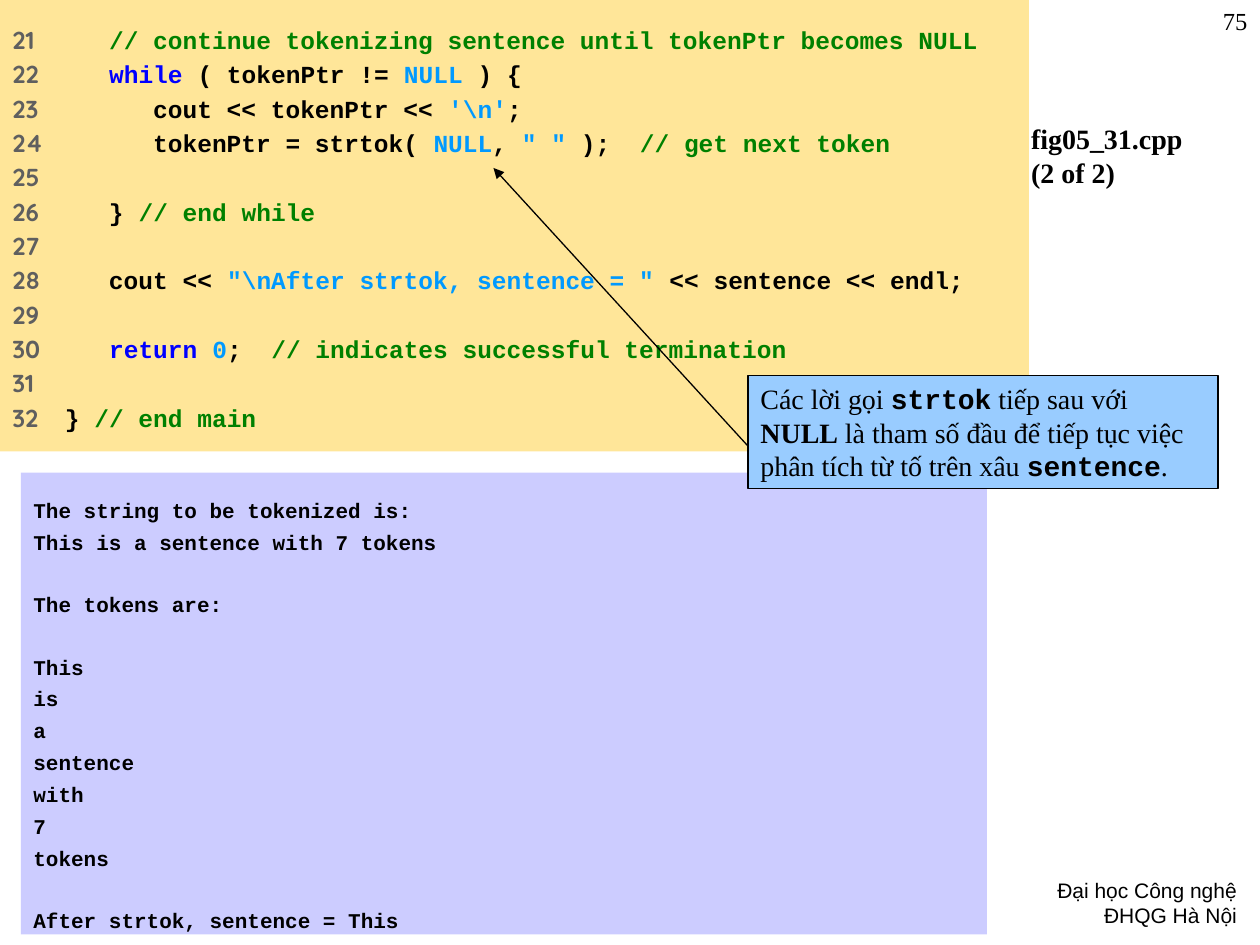
import pptx
import pptx.util
import pptx.dml.color
import pptx.enum.shapes
import pptx.enum.text
import pptx.oxml
import pptx.oxml.ns
from dataclasses import dataclass

# Content: code lines are (number, indent in characters, coloured spans)
CODE = [
    (21, 3, [("comment", "// continue tokenizing sentence until tokenPtr becomes NULL")]),
    (22, 3, [("keyword", "while"), ("plain", " ( tokenPtr != "), ("literal", "NULL"),
             ("plain", " ) {")]),
    (23, 6, [("plain", "cout << tokenPtr << "), ("literal", r"'\n'"), ("plain", ";")]),
    (24, 6, [("plain", "tokenPtr = strtok( "), ("literal", "NULL"), ("plain", ", "),
             ("literal", '" "'), ("plain", " );  "), ("comment", "// get next token")]),
    (25, 0, []),
    (26, 3, [("plain", "} "), ("comment", "// end while")]),
    (27, 0, []),
    (28, 3, [("plain", "cout << "), ("literal", r'"\nAfter strtok, sentence = "'),
             ("plain", " << sentence << endl;")]),
    (29, 0, []),
    (30, 3, [("keyword", "return "), ("literal", "0"), ("plain", ";  "),
             ("comment", "// indicates successful termination")]),
    (31, 0, []),
    (32, 0, [("plain", "} "), ("comment", "// end main")]),
]
OUTPUT_BLOCKS = [
    ["The string to be tokenized is:", "This is a sentence with 7 tokens"],
    ["The tokens are:"],
    ["This", "is", "a", "sentence", "with", "7", "tokens"],
    ["After strtok, sentence = This"],
]
CALLOUT = [
    ("body", "Các lời gọi "), ("mono", "strtok"), ("body", " tiếp sau với "),
    ("strong", "NULL"), ("body", " là tham số đầu để tiếp tục việc phân tích từ tố trên xâu "),
    ("mono", "sentence"), ("body", "."),
]
TITLE = "fig05_31.cpp\n(2 of 2)"
FOOTER = "Đại học Công nghệ\nĐHQG Hà Nội"
PAGE_NUMBER = "75"


@dataclass(frozen=True)
class Theme:
    code_fill: str = "FFE699"
    output_fill: str = "CCCCFF"
    callout_fill: str = "99CCFF"
    ink: str = "000000"
    number: str = "5F5F5F"
    comment: str = "008000"
    keyword: str = "0000FF"
    literal: str = "0099FF"
    serif: str = "Times New Roman"
    mono: str = "Courier New"
    sans: str = "Arial"
    digits: str = "Quicksand"
    small: float = 12
    medium: float = 14
    large: float = 16
    hairline: float = 0.75
    code_gap: float = 2.8
    output_gap: float = 3.8
    output_block_gap: float = 21.2


THEME = Theme()


def style(name, size, bold=False, color=THEME.ink):
    return {"name": name, "size": pptx.util.Pt(size), "bold": bold, "color": color}


STYLES = {
    "title": style(THEME.serif, THEME.large, True),
    "page": style(THEME.serif, THEME.medium),
    "footer": style(THEME.sans, THEME.small),
    "output": style(THEME.mono, THEME.small, True),
    "number": style(THEME.digits, THEME.medium, True, THEME.number),
    "plain": style(THEME.mono, THEME.medium, True),
    "comment": style(THEME.mono, THEME.medium, True, THEME.comment),
    "keyword": style(THEME.mono, THEME.medium, True, THEME.keyword),
    "literal": style(THEME.mono, THEME.medium, True, THEME.literal),
    "body": style(THEME.serif, THEME.large),
    "strong": style(THEME.serif, THEME.large, True),
    "mono": style(THEME.mono, THEME.large, True),
}

# Grid of 120 columns and 90 rows; boxes are (column, row, columns, rows)
COLUMNS, ROWS = 120, 90
WIDTH, HEIGHT = pptx.util.Inches(10), pptx.util.Inches(7.5)
PLACES = {
    "title": (97, 11, 23, 63),
    "page": (114, 0, 6, 6),
    "footer": (93, 83, 26, 6),
    "output": (2, 45, 92, 44),
    "code": (0, 0, 98, 43),
    "callout": (71.25, 35.75, 44.75, 10.8),
}
ARROW = (71.25, 42.5, 47, 16)
CODE_TAB = 5  # columns from the line number to the code
LEFT, RIGHT = pptx.enum.text.PP_ALIGN.LEFT, pptx.enum.text.PP_ALIGN.RIGHT


def to_emu(cells):
    """Turn alternating column and row counts into lengths."""
    return [int(cell * (HEIGHT / ROWS if index % 2 else WIDTH / COLUMNS))
            for index, cell in enumerate(cells)]


def rgb(value):
    return pptx.dml.color.RGBColor.from_string(value)


def write(box, paragraphs, align=LEFT, inset=0.05):
    """Fill a box with paragraphs, each given as (space before, spans)."""
    frame = box.text_frame
    settings = {
        "word_wrap": True, "auto_size": pptx.enum.text.MSO_AUTO_SIZE.NONE,
        "vertical_anchor": pptx.enum.text.MSO_ANCHOR.TOP,
        "margin_left": pptx.util.Inches(0.1), "margin_right": pptx.util.Inches(0.1),
        "margin_top": pptx.util.Inches(inset), "margin_bottom": pptx.util.Inches(inset),
    }
    for key, value in settings.items():
        setattr(frame, key, value)
    for index, (gap, spans) in enumerate(paragraphs):
        para = frame.add_paragraph() if index else frame.paragraphs[0]
        para.alignment = align
        para.space_before = pptx.util.Pt(gap if index else 0)
        for kind, text in spans:
            for part, line in enumerate(text.split("\n")):
                if part:
                    para.add_line_break()
                span = para.add_run()
                span.text = line
                for key, value in STYLES[kind].items():
                    if key == "color":
                        span.font.color.rgb = rgb(value)
                    else:
                        setattr(span.font, key, value)


def add_panel(shapes, place, fill):
    panel = shapes.add_shape(pptx.enum.shapes.MSO_SHAPE.RECTANGLE, *to_emu(PLACES[place]))
    panel.shadow.inherit = False
    panel.fill.solid()
    panel.fill.fore_color.rgb = rgb(fill)
    panel.line.fill.background()
    return panel


def add_code(shapes):
    panel = add_panel(shapes, "code", THEME.code_fill)
    paragraphs = []
    for number, indent, spans in CODE:
        lead = [("plain", "\t" + " " * indent)] if spans else []
        paragraphs.append((THEME.code_gap, [("number", str(number))] + lead + spans))
    write(panel, paragraphs, inset=0.2)
    for para in panel.text_frame.paragraphs:
        tabs = pptx.oxml.parse_xml(
            f'<a:tabLst {pptx.oxml.ns.nsdecls("a")}>'
            f'<a:tab pos="{to_emu([CODE_TAB])[0]}" algn="l"/></a:tabLst>')
        para._p.get_or_add_pPr().append(tabs)


def add_output(shapes):
    paragraphs = [(THEME.output_gap if index else THEME.output_block_gap, [("output", line)])
                  for block in OUTPUT_BLOCKS for index, line in enumerate(block)]
    write(add_panel(shapes, "output", THEME.output_fill), paragraphs, inset=0.2)


def add_callout(shapes):
    group = shapes.add_group_shape()
    panel = add_panel(group.shapes, "callout", THEME.callout_fill)
    write(panel, [(0, CALLOUT)])
    arrow = group.shapes.add_connector(pptx.enum.shapes.MSO_CONNECTOR.STRAIGHT, *to_emu(ARROW))
    for item in (panel, arrow):
        item.line.color.rgb = rgb(THEME.ink)
        item.line.width = pptx.util.Pt(THEME.hairline)
    namespace = pptx.oxml.ns.nsdecls("a")
    arrow.line._get_or_add_ln().append(
        pptx.oxml.parse_xml(f'<a:tailEnd {namespace} type="triangle"/>'))
    arrow._element.spPr.append(pptx.oxml.parse_xml(f"<a:effectLst {namespace}/>"))


def main():
    deck = pptx.Presentation()
    deck.slide_width, deck.slide_height = WIDTH, HEIGHT
    page = deck.slides.add_slide(deck.slide_layouts[5])
    title = page.shapes.title
    title.left, title.top, title.width, title.height = to_emu(PLACES["title"])
    write(title, [(0, [("title", TITLE)])])
    for place, text in (("footer", FOOTER), ("page", PAGE_NUMBER)):
        box = page.shapes.add_textbox(*to_emu(PLACES[place]))
        write(box, [(0, [(place, text)])], RIGHT)
    add_output(page.shapes)
    add_code(page.shapes)
    add_callout(page.shapes)
    deck.save("out.pptx")


if __name__ == "__main__":
    main()
